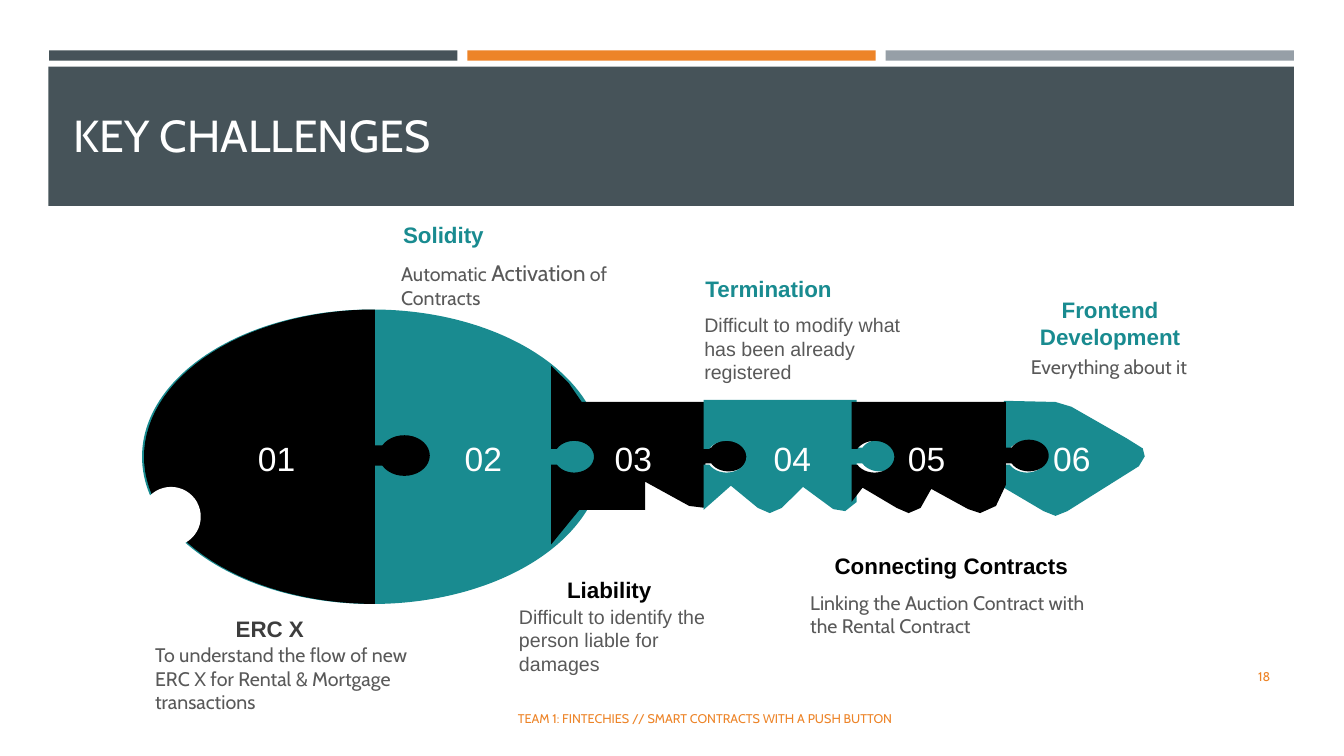
import math

import pptx
import pptx.dml.color
import pptx.enum.shapes
import pptx.enum.text
import pptx.util
from pptx.util import Cm

THEME = {
    "slate": "465359", "orange": "ED8428", "grey": "969FA7", "teal": "198B90",
    "black": "000000", "white": "FFFFFF", "charcoal": "3D3D3D", "body": "595959",
    "title_size": 32, "number_size": 24, "heading_size": 16, "body_size": 14, "footer_size": 9,
    "plain": "Arial", "brand": "Cabin",
}
RECTANGLE = pptx.enum.shapes.MSO_SHAPE.RECTANGLE
OVAL = pptx.enum.shapes.MSO_SHAPE.OVAL
LEFT = pptx.enum.text.PP_ALIGN.LEFT
CENTER = pptx.enum.text.PP_ALIGN.CENTER
RIGHT = pptx.enum.text.PP_ALIGN.RIGHT
TOP = pptx.enum.text.MSO_ANCHOR.TOP
MIDDLE = pptx.enum.text.MSO_ANCHOR.MIDDLE

presentation = pptx.Presentation()
presentation.slide_width = Cm(33.87)
presentation.slide_height = Cm(19.05)
slide = presentation.slides.add_slide(presentation.slide_layouts[6])


def paint(shape, color):
    shape.shadow.inherit = False
    shape.fill.solid()
    shape.fill.fore_color.rgb = pptx.dml.color.RGBColor.from_string(THEME[color])
    shape.line.fill.background()


def add_text(box, text, size, font, color, bold=False, align=LEFT, anchor=TOP):
    frame = slide.shapes.add_textbox(*map(Cm, box)).text_frame
    frame.word_wrap = True
    frame.vertical_anchor = anchor
    paragraph = frame.paragraphs[0]
    paragraph.alignment = align
    paragraph.font.size = pptx.util.Pt(THEME[size])
    paragraph.font.name = THEME[font]
    paragraph.font.bold = bold
    paragraph.font.color.rgb = pptx.dml.color.RGBColor.from_string(THEME[color])
    for part in text if isinstance(text, list) else [text]:
        paragraph.add_run().text = part
    return paragraph


for index, color in enumerate(["slate", "orange", "grey"]):
    bar = slide.shapes.add_shape(RECTANGLE, Cm(1.24 + index * 10.54), Cm(1.27), Cm(10.29), Cm(0.26))
    paint(bar, color)
banner = slide.shapes.add_shape(RECTANGLE, Cm(1.22), Cm(1.68), Cm(31.39), Cm(3.51))
paint(banner, "slate")
add_text((1.6, 2.03, 30.63, 2.74), "KEY CHALLENGES", "title_size", "brand", "white", anchor=MIDDLE)

key_head = slide.shapes.add_shape(OVAL, Cm(3.58), Cm(7.8), Cm(11.61), Cm(7.42))
paint(key_head, "teal")

knob_angles = [math.radians(angle) for angle in range(-150, 151, 10)]
knob = [(0, -0.2)] + [(0.58 + 0.5 * math.cos(a), 0.4 * math.sin(a)) for a in knob_angles] + [(0, 0.2)]
head_angles = [math.radians(angle) for angle in range(90, 271, 3)]
head_arc = [(9.45 + 5.82 * math.cos(a), 11.51 + 3.71 * math.sin(a)) for a in head_angles]

key_pieces = [
    ("black", None, [], 9.45, 1.28, head_arc),
    ("teal", 25.3, [(25.3, 10.1), (26.6, 10.13), (27, 10.25), (28.4, 11.05), (28.8, 11.3), (28.85, 11.5),
                    (28.7, 11.75), (26.9, 12.88), (26.6, 13), (26.3, 12.88), (25.3, 12.29)], None, 1, []),
    ("black", 13.89, [(13.89, 9.22), (14.33, 9.65), (14.66, 10.13), (17.78, 10.13)], 17.78, 1,
     [(17.78, 12.8), (17.37, 12.75), (16.26, 12.14), (16.26, 12.85), (14.6, 12.85), (13.89, 13.72)]),
    ("teal", 17.73, [(17.73, 10.08), (21.59, 10.08)], 21.59, 1,
     [(21.59, 12.65), (21.3, 12.88), (21, 12.83), (20.24, 12.27), (19.7, 12.8), (19.4, 12.93),
      (19.1, 12.8), (18.42, 12.24), (17.73, 12.85)]),
    ("black", 21.46, [(21.46, 10.13), (25.35, 10.13)], 25.35, 1,
     [(25.35, 12.22), (25.1, 12.75), (24.7, 12.93), (24.4, 12.83), (23.47, 12.32), (23.2, 12.8),
      (22.9, 12.93), (22.6, 12.8), (21.74, 12.29), (21.46, 12.65)]),
]
for color, socket_x, outline, joint_x, knob_scale, teeth in key_pieces:
    points = list(outline)
    if joint_x:
        points += [(joint_x + x * knob_scale, 11.48 + y * knob_scale) for x, y in knob]
    points += teeth
    if socket_x:
        points += [(socket_x + x, 11.51 + y) for x, y in reversed(knob)]
    vertices = [(Cm(x), Cm(y)) for x, y in points]
    builder = slide.shapes.build_freeform(*vertices[0])
    builder.add_line_segments(vertices[1:], close=True)
    paint(builder.convert_to_shape(), color)

key_hole = slide.shapes.add_shape(OVAL, Cm(3.56), Cm(12.27), Cm(1.5), Cm(1.5))
paint(key_hole, "white")

for number, left in enumerate([6.25, 11.46, 15.24, 19.25, 22.63, 26.29], 1):
    add_text((left, 10.9, 3.18, 1.27), f"{number:02}", "number_size", "plain", "white")

challenges = [
    ("ERC X", (3.51, 15.37, 6.58, 0.94), "charcoal", CENTER,
     "To understand the flow of new ERC X for Rental & Mortgage transactions",
     (3.66, 16.08, 6.88, 2.06), "brand"),
    ("Liability", (12.6, 14.4, 5.51, 0.94), "black", CENTER,
     "Difficult to identify the person liable for damages", (12.83, 15.11, 6.07, 2.64), "plain"),
    ("Connecting Contracts", (19.63, 13.79, 8.69, 1.63), "black", CENTER,
     "Linking the Auction Contract with the Rental Contract", (20.17, 14.76, 7.85, 2.06), "brand"),
    ("Frontend Development", (24.89, 7.34, 6.17, 1.63), "teal", CENTER,
     "Everything about it", (25.73, 8.81, 6.17, 0.86), "brand"),
    ("Termination", (16.13, 6.81, 6.48, 0.94), "teal", CENTER,
     "Difficult to modify what has been already registered", (17.5, 7.77, 5.49, 2.06), "plain"),
    ("Solidity", (9.91, 5.46, 6.48, 0.94), "teal", LEFT,
     ["Automatic ", "Activation", " of Contracts"], (9.86, 6.4, 6.1, 1.55), "brand"),
]
for heading, heading_box, color, align, body, body_box, font in challenges:
    body_paragraph = add_text(body_box, body, "body_size", font, "body")
    add_text(heading_box, heading, "heading_size", "plain", color, bold=True, align=align)
    if isinstance(body, list):
        body_paragraph.runs[1].font.size = pptx.util.Pt(THEME["heading_size"])

add_text((12.8, 17.6, 19.2, 1.02), "TEAM 1: FINTECHIES // SMART CONTRACTS WITH A PUSH BUTTON",
         "footer_size", "brand", "orange", anchor=MIDDLE)
add_text((29.34, 16.54, 2.92, 1.02), "18", "footer_size", "brand", "orange", align=RIGHT, anchor=MIDDLE)

presentation.save("out.pptx")
